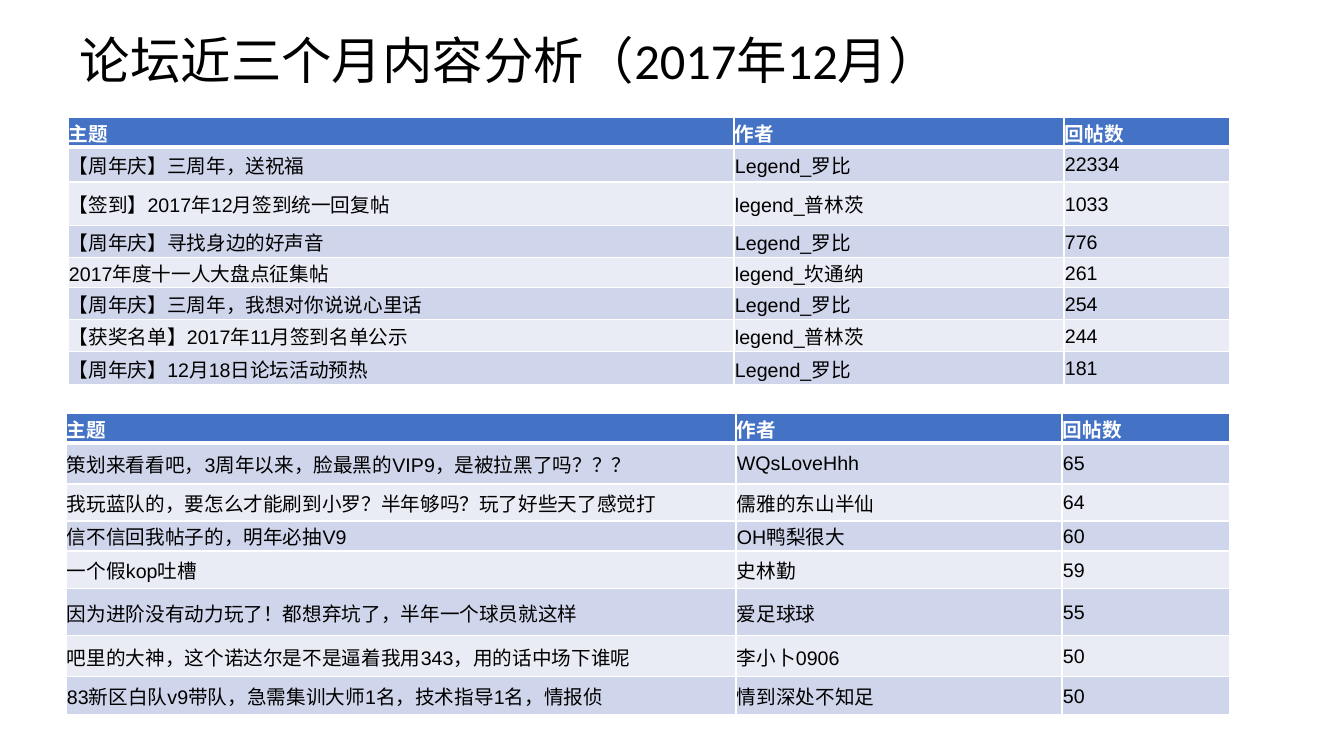
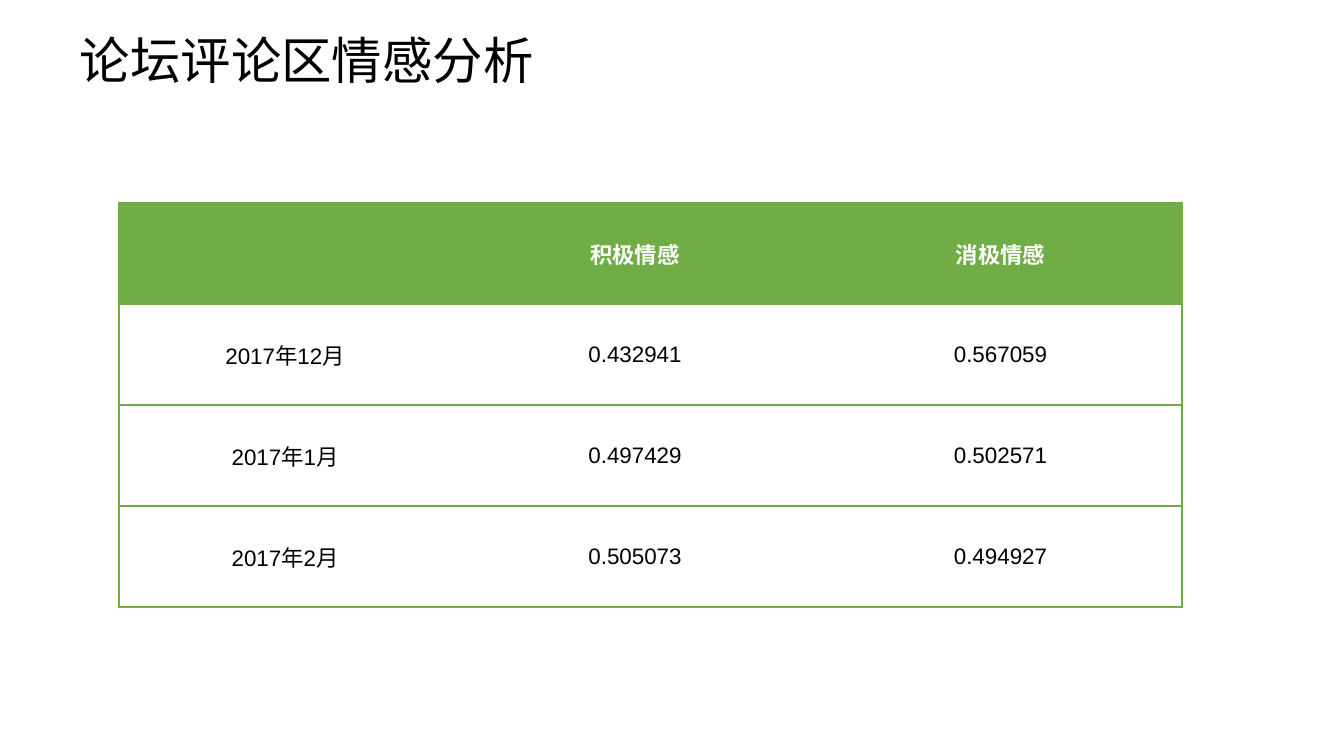
from lxml.etree import SubElement
from pptx import Presentation
from pptx.dml.color import RGBColor
from pptx.enum.text import MSO_ANCHOR, PP_ALIGN
from pptx.oxml.ns import qn
from pptx.util import Pt

EMU_PER_PIXEL = 914400 / 100.8
FULL_WIDTH = str.maketrans(",?!()", "\uff0c\uff1f\uff01\uff08\uff09")
COLORS = {
    "text": "000000",
    "white": "FFFFFF",
    "blue": "4472C4",
    "blue_band": "CFD5EA",
    "pale_band": "E9EBF5",
    "green": "70AD47",
}
POST_LOOK = {
    "header": "blue", "bands": ["blue_band", "pale_band"], "border": "white",
    "rule": 3, "inner": True, "size": 14, "align": PP_ALIGN.LEFT,
}
MOOD_LOOK = {
    "header": "green", "bands": ["white"], "border": "green",
    "rule": 1, "inner": False, "size": 16, "align": PP_ALIGN.CENTER,
}
POST_HEADER = ("主题", "作者", "回帖数")

official_posts = [
    POST_HEADER,
    ("【周年庆】三周年,送祝福", "Legend_罗比", "22334"),
    ("【签到】2017年12月签到统一回复帖", "legend_普林茨", "1033"),
    ("【周年庆】寻找身边的好声音", "Legend_罗比", "776"),
    ("2017年度十一人大盘点征集帖", "legend_坎通纳", "261"),
    ("【周年庆】三周年,我想对你说说心里话", "Legend_罗比", "254"),
    ("【获奖名单】2017年11月签到名单公示", "legend_普林茨", "244"),
    ("【周年庆】12月18日论坛活动预热", "Legend_罗比", "181"),
]
player_posts = [
    POST_HEADER,
    ("策划来看看吧,3周年以来,脸最黑的VIP9,是被拉黑了吗???", "WQsLoveHhh", "65"),
    ("我玩蓝队的,要怎么才能刷到小罗?半年够吗?玩了好些天了感觉打", "儒雅的东山半仙", "64"),
    ("信不信回我帖子的,明年必抽V9", "OH鸭梨很大", "60"),
    ("一个假kop吐槽", "史林勤", "59"),
    ("因为进阶没有动力玩了!都想弃坑了,半年一个球员就这样", "爱足球球", "55"),
    ("吧里的大神,这个诺达尔是不是逼着我用343,用的话中场下谁呢", "李小卜0906", "50"),
    ("83新区白队v9带队,急需集训大师1名,技术指导1名,情报侦", "情到深处不知足", "50"),
]
moods = [
    ("", "积极情感", "消极情感"),
    ("2017年12月", "0.432941", "0.567059"),
    ("2017年1月", "0.497429", "0.502571"),
    ("2017年2月", "0.505073", "0.494927"),
]
pages = [
    ("论坛近三个月内容分析(2017年12月)", POST_LOOK, [
        (68, 117, [666, 330, 166], [30, 35, 44, 32, 30, 32, 32, 33], official_posts),
        (66, 413, [670, 326, 168], [30, 41, 37, 30, 38, 47, 41, 38], player_posts),
    ]),
    ("论坛评论区情感分析", MOOD_LOOK, [
        (119, 203, [332, 368, 363], [101] * 4, moods),
    ]),
]


def px(pixels):
    return round(pixels * EMU_PER_PIXEL)


def draw_border(cell, side, color, points):
    line = SubElement(cell._tc.get_or_add_tcPr(), qn(f"a:ln{side}"), w=str(Pt(points)))
    if points:
        fill = SubElement(line, qn("a:solidFill"))
        SubElement(fill, qn("a:srgbClr"), val=COLORS[color])
    else:
        SubElement(line, qn("a:noFill"))


presentation = Presentation()
presentation.slide_width = px(1344)
presentation.slide_height = px(756)

for heading, look, tables in pages:
    slide = presentation.slides.add_slide(presentation.slide_layouts[6])
    title = slide.shapes.add_textbox(px(70), px(-10), px(1159), px(146)).text_frame
    title.word_wrap = True
    title.vertical_anchor = MSO_ANCHOR.MIDDLE
    title_line = title.paragraphs[0]
    title_line.text = heading.translate(FULL_WIDTH)
    title_line.line_spacing = 0.9
    title_line.font.name = "Calibri"
    title_line.font.size = Pt(36)
    title_line.font.color.rgb = RGBColor.from_string(COLORS["text"])

    for left, top, widths, heights, records in tables:
        table = slide.shapes.add_table(
            len(heights), len(widths), px(left), px(top), px(sum(widths)), px(sum(heights))
        ).table
        for column, width in zip(table.columns, widths):
            column.width = px(width)
        for row, height in zip(table.rows, heights):
            row.height = px(height)

        for r, record in enumerate(records):
            for c, value in enumerate(record):
                cell = table.cell(r, c)
                cell.margin_left = cell.margin_right = cell.margin_top = px(1)
                cell.margin_bottom = 0
                cell.vertical_anchor = MSO_ANCHOR.MIDDLE
                borders = {
                    "L": 1 if look["inner"] or c == 0 else 0,
                    "R": 1 if look["inner"] or c == len(widths) - 1 else 0,
                    "T": look["rule"] if r == 1 else 1,
                    "B": look["rule"] if r == 0 else 1,
                }
                for side, points in borders.items():
                    draw_border(cell, side, look["border"], points)
                bands = look["bands"]
                background = bands[(r - 1) % len(bands)] if r else look["header"]
                cell.fill.solid()
                cell.fill.fore_color.rgb = RGBColor.from_string(COLORS[background])

                paragraph = cell.text_frame.paragraphs[0]
                paragraph.text = value.translate(FULL_WIDTH)
                paragraph.alignment = look["align"]
                paragraph.font.name = "Arial"
                paragraph.font.size = Pt(look["size"])
                paragraph.font.bold = r == 0
                paragraph.font.color.rgb = RGBColor.from_string(
                    COLORS["text" if r else "white"]
                )

presentation.save("out.pptx")
